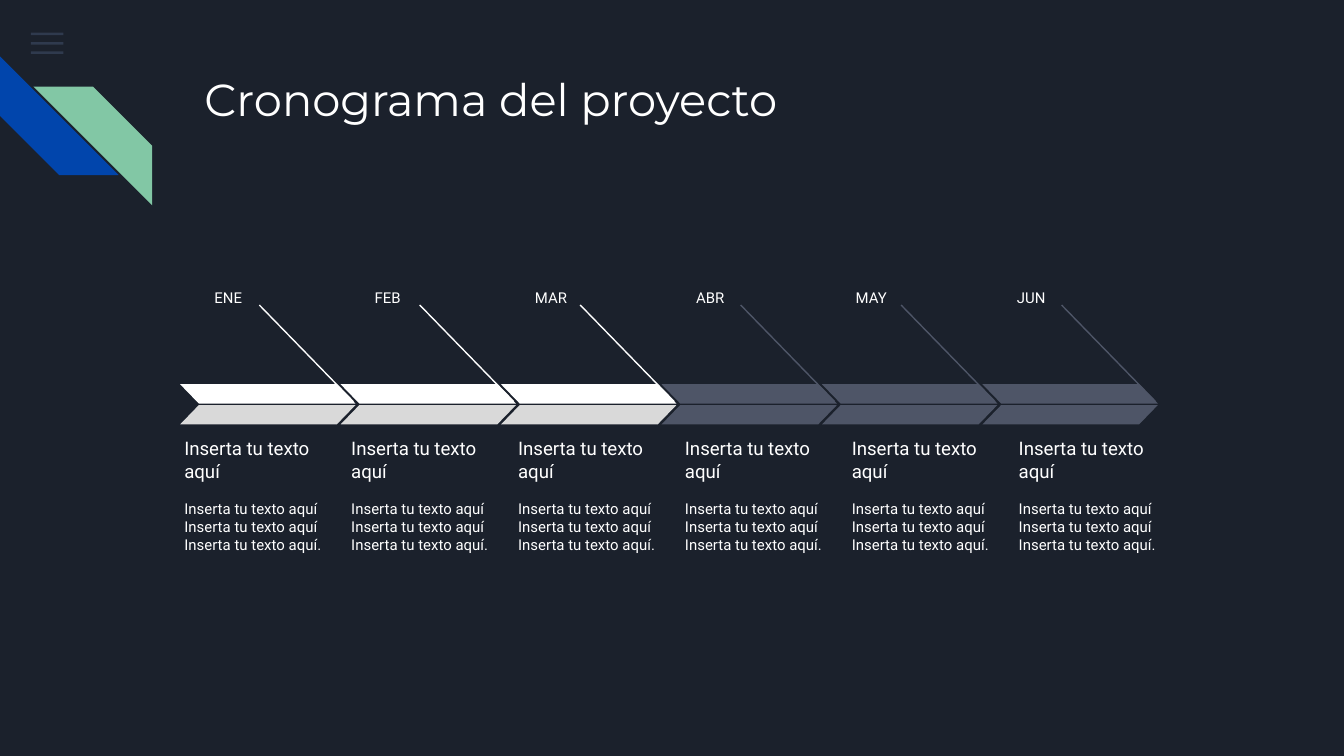
from dataclasses import dataclass

import pptx
import pptx.dml.color
import pptx.enum.shapes
import pptx.enum.text
import pptx.oxml
import pptx.oxml.ns
import pptx.util

Pt = pptx.util.Pt
SHAPES = pptx.enum.shapes.MSO_SHAPE
ALIGN = pptx.enum.text.PP_ALIGN
ANCHOR = pptx.enum.text.MSO_ANCHOR


@dataclass(frozen=True)
class Theme:
    background: str = "1B212C"
    text: str = "FFFFFF"
    menu: str = "55688B"
    blue: str = "0145AC"
    green: str = "82C7A5"
    done_top: str = "FFFFFF"
    done_bottom: str = "D9D9D9"
    pending: str = "4E5567"
    title_font: str = "Montserrat"
    body_font: str = "Roboto"
    title_size: float = 24
    heading_size: float = 10
    small_size: float = 8


THEME = Theme()
HEADING = "Inserta tu texto aquí"
BODY = "Inserta tu texto aquí Inserta tu texto aquí Inserta tu texto aquí."
# Month, whether it is done, and label offset from its arrow's left edge
MONTHS = [
    ("ENE", True, -2.2),
    ("FEB", True, -3.2),
    ("MAR", True, 0),
    ("ABR", False, -1.7),
    ("MAY", False, -0.6),
    ("JUN", False, -1.6),
]


def rgb(color):
    return pptx.dml.color.RGBColor.from_string(color)


def add_block(slide, kind, box, color, flip=False):
    """Add a filled preset shape without outline or shadow."""
    block = slide.shapes.add_shape(kind, *(Pt(v) for v in box))
    block.shadow.inherit = False
    block.fill.solid()
    block.fill.fore_color.rgb = rgb(color)
    block.line.fill.background()
    if flip:
        block._element.spPr.xfrm.set("flipH", "1")
    return block


def add_label(slide, box, text, size, font=THEME.body_font,
              align=ALIGN.LEFT, anchor=ANCHOR.TOP, space_after=0):
    label = slide.shapes.add_textbox(*(Pt(v) for v in box))
    frame = label.text_frame
    frame.word_wrap = True
    frame.vertical_anchor = anchor
    frame.margin_left = frame.margin_right = Pt(7.2)
    frame.margin_top = frame.margin_bottom = Pt(7.2)
    paragraph = frame.paragraphs[0]
    paragraph.alignment = align
    paragraph.space_after = Pt(space_after)
    run = paragraph.add_run()
    run.text = text
    run.font.name = font
    run.font.size = Pt(size)
    run.font.color.rgb = rgb(THEME.text)


def add_menu_icon(slide, left, top, width, height):
    """Three evenly spaced translucent bars."""
    thickness = 1.4
    pitch = (height - thickness) / 2
    for row in range(3):
        bar = add_block(slide, SHAPES.RECTANGLE,
                        (left, top + row * pitch, width, thickness), THEME.menu)
        color = bar._element.spPr.find(".//" + pptx.oxml.ns.qn("a:srgbClr"))
        alpha = pptx.oxml.parse_xml(
            f'<a:alpha {pptx.oxml.ns.nsdecls("a")} val="36000"/>')
        color.append(alpha)


def add_corner_stripes(slide, left, top, width, height):
    """Two diagonal stripes, at the box's upper left and lower right."""
    side = 63.6
    blue_stripe = add_block(slide, SHAPES.DIAGONAL_STRIPE,
                            (left, top, side, side), THEME.blue)
    blue_stripe.rotation = 270
    add_block(slide, SHAPES.DIAGONAL_STRIPE,
              (left + width - side, top + height - side, side, side),
              THEME.green, flip=True)


def add_pointer(slide, start, end, color):
    pointer = slide.shapes.add_connector(
        pptx.enum.shapes.MSO_CONNECTOR.STRAIGHT, *(Pt(v) for v in start + end))
    pointer.line.color.rgb = rgb(color)
    pointer.line.width = Pt(0.75)
    pointer._element.spPr.append(
        pptx.oxml.parse_xml(f'<a:effectLst {pptx.oxml.ns.nsdecls("a")}/>'))


def add_timeline(slide, left, top, width, height):
    """Month labels above a chain of two-part arrows."""
    arrow_width, half_height = 94, 10.4
    pitch = (width - arrow_width) / (len(MONTHS) - 1)
    lower_top = top + height - half_height
    upper_top = lower_top - 11.2

    for index, (month, done, label_offset) in enumerate(MONTHS):
        x = left + index * pitch
        upper_color = THEME.done_top if done else THEME.pending
        lower_color = THEME.done_bottom if done else THEME.pending
        add_pointer(slide, (x + 42.4, top + 13.6), (x + 92.8, top + 65.4),
                    upper_color)
        for y, color, flip in ((upper_top, upper_color, True),
                               (lower_top, lower_color, False)):
            half = add_block(slide, SHAPES.PARALLELOGRAM,
                             (x, y, arrow_width, half_height), color, flip)
            half.adjustments[0] = 0.97
        add_label(slide, (x + label_offset, top, 42.5, 16.6), month,
                  THEME.small_size, align=ALIGN.RIGHT)


def add_descriptions(slide, left, top, width, height):
    """One heading and body text per month, in equal columns."""
    column_width = width / len(MONTHS)
    heading_height, body_offset = 31.7, 30.2
    for index in range(len(MONTHS)):
        x = left + index * column_width
        add_label(slide, (x, top, column_width, heading_height), HEADING,
                  THEME.heading_size, anchor=ANCHOR.MIDDLE)
        add_label(slide,
                  (x, top + body_offset, column_width, height - body_offset),
                  BODY, THEME.small_size, space_after=16)


def main():
    deck = pptx.Presentation()
    deck.slide_width, deck.slide_height = Pt(720), Pt(405)
    slide = deck.slides.add_slide(deck.slide_layouts[6])
    slide.background.fill.solid()
    slide.background.fill.fore_color.rgb = rgb(THEME.background)

    # Corner decoration
    add_menu_icon(slide, 16.6, 17.5, 17.4, 11.4)
    add_corner_stripes(slide, 0, 30.2, 81.6, 79.8)

    # Title
    add_label(slide, (102.4, 31, 554.4, 72), "Cronograma del proyecto",
              THEME.title_size, THEME.title_font)

    # Schedule
    add_timeline(slide, 96.5, 149.8, 523.8, 77.6)
    add_descriptions(slide, 91.7, 230.4, 536.4, 82.8)

    deck.save("out.pptx")


if __name__ == "__main__":
    main()
